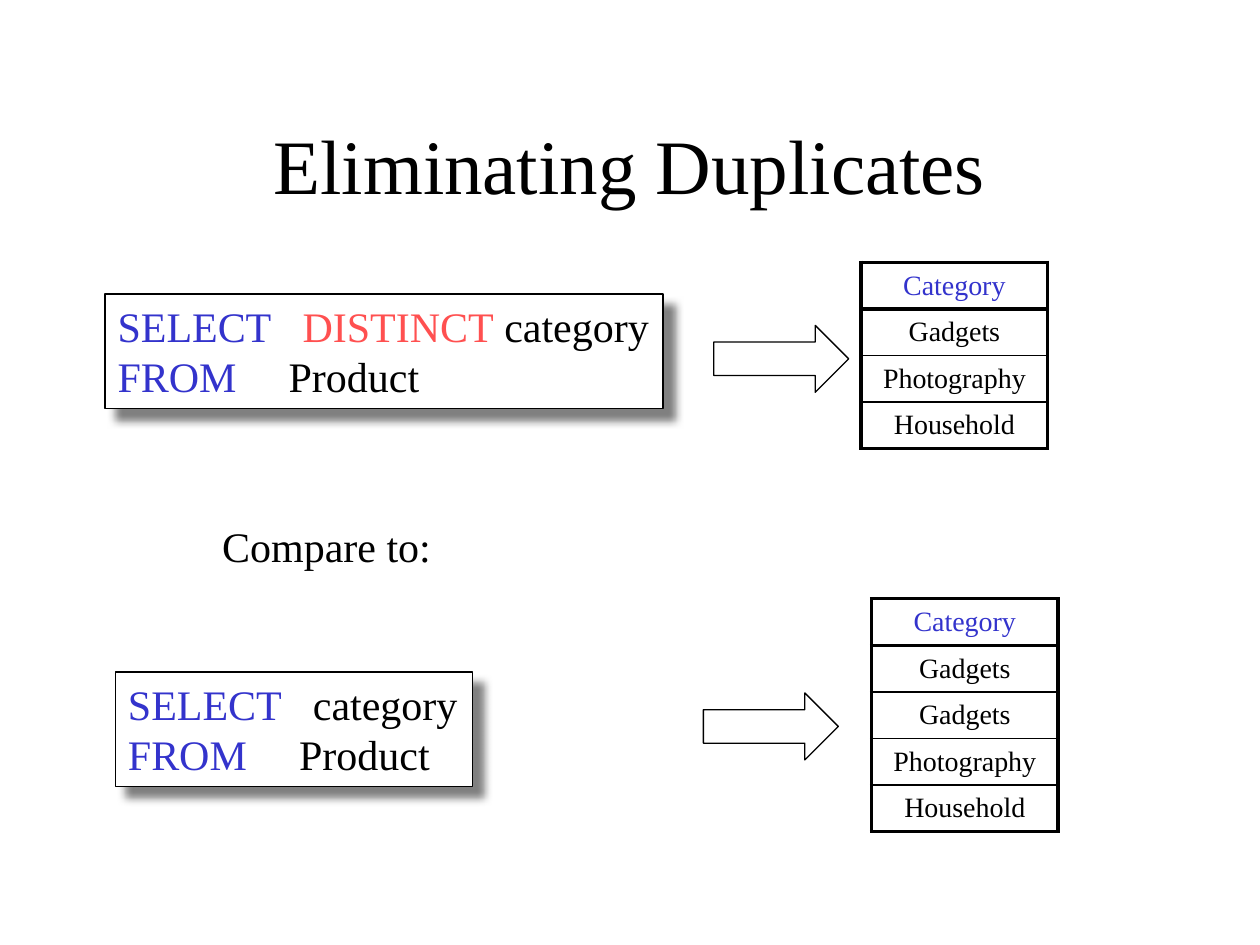
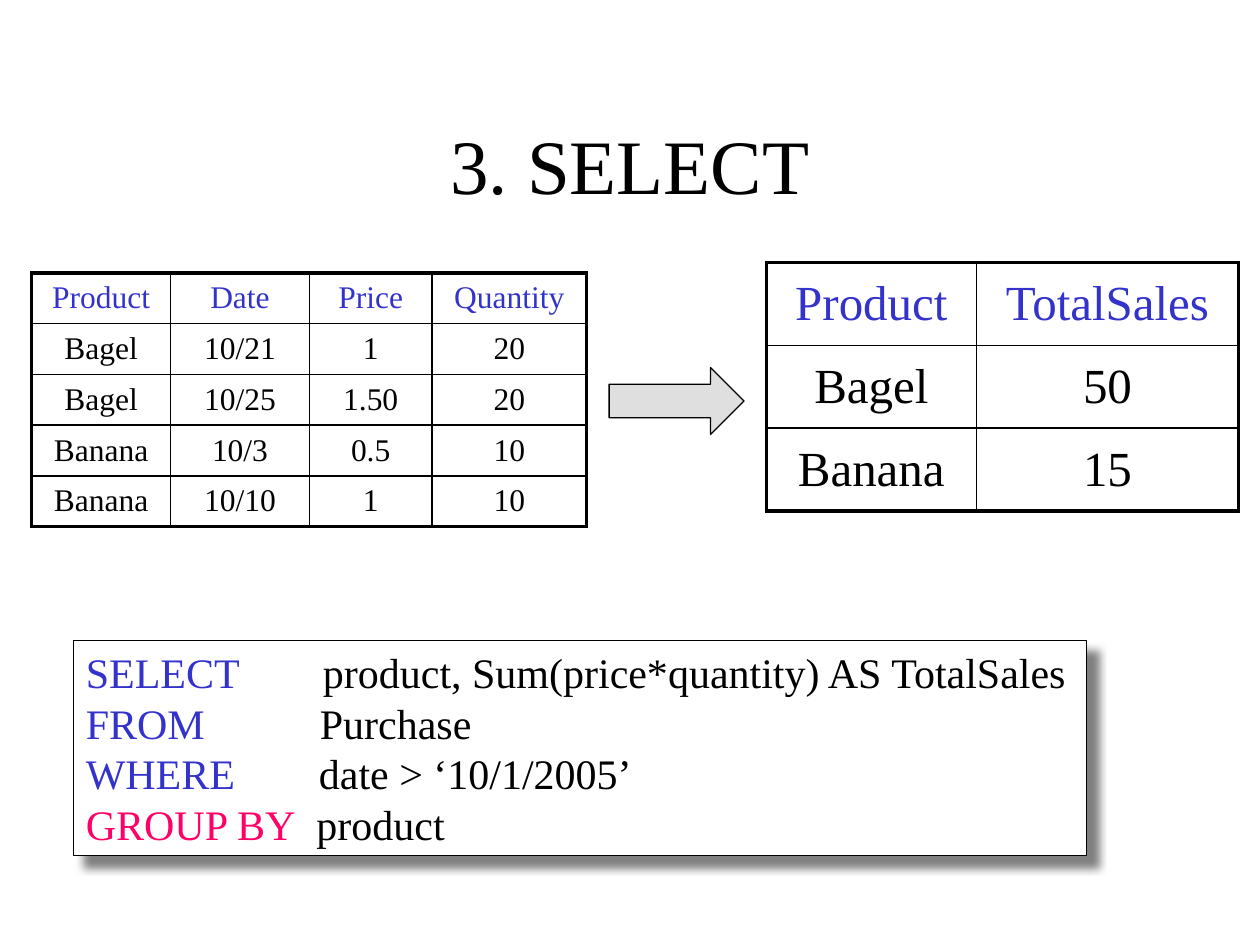
"""Build two SQL lecture slides: removing duplicates and the SELECT step."""
from dataclasses import dataclass
from typing import Any, Optional

from lxml import etree
from pptx import Presentation
from pptx import util as u
from pptx.dml.color import RGBColor
from pptx.enum import shapes, text
from pptx.oxml import ns

BLACK = RGBColor(0x00, 0x00, 0x00)
WHITE = RGBColor(0xFF, 0xFF, 0xFF)
KEYWORD_BLUE = RGBColor(0x33, 0x33, 0xCC)
DISTINCT_RED = RGBColor(0xFF, 0x50, 0x50)
GROUP_PINK = RGBColor(0xFF, 0x00, 0x66)
ARROW_GREY = RGBColor(0xC0, 0xC0, 0xC0)
SHADOW_GREY = RGBColor(0x80, 0x80, 0x80)

FONT = "Times New Roman"
CODE_SIZE = 24
THIN, THICK = u.Pt(1), u.Pt(2.25)
INSETS = {
    "margin_left": u.Cm(0.25), "margin_right": u.Cm(0.25),
    "margin_top": u.Cm(0.13), "margin_bottom": u.Cm(0.13),
}
TITLE_PLACE = {
    "left": u.Cm(1.9), "top": u.Cm(1.7), "width": u.Cm(21.6), "height": u.Cm(3.18),
}
TITLE_FRAME = INSETS | {"vertical_anchor": text.MSO_ANCHOR.MIDDLE, "word_wrap": True}
CODE_FRAME = INSETS | {
    "vertical_anchor": text.MSO_ANCHOR.TOP,
    "word_wrap": True,
    "auto_size": text.MSO_AUTO_SIZE.SHAPE_TO_FIT_TEXT,
}
CELL_FORMAT = INSETS | {"vertical_anchor": text.MSO_ANCHOR.MIDDLE}


@dataclass(frozen=True)
class Clause:
    """One query line; the tab stop, in cm, sets where its body starts."""
    phrases: tuple[tuple[str, RGBColor], ...]
    tab_stop: float = 0


@dataclass(frozen=True)
class Query:
    """A shadowed box of clauses, measured in cm."""
    left: float
    top: float
    width: float
    height: float
    clauses: tuple[Clause, ...]


@dataclass(frozen=True)
class Relation:
    """A database table whose first row is its header, measured in cm."""
    left: float
    top: float
    columns: tuple[float, ...]
    row_height: float
    font_size: int
    rows: tuple[tuple[str, ...], ...]
    header_rule: int = THIN


@dataclass(frozen=True)
class Arrow:
    """A right arrow from a query or relation to its result, in cm."""
    left: float
    top: float
    fill: Optional[RGBColor] = None


def apply(target: Any, values: dict[str, Any]) -> None:
    """Set every named attribute on the target."""
    for name, value in values.items():
        setattr(target, name, value)


def write(paragraph: Any, words: str, size: int, color: RGBColor = BLACK) -> None:
    """Add a run in the shared font."""
    run = paragraph.add_run()
    run.text = words
    apply(run.font, {"name": FONT, "size": u.Pt(size), "bold": False})
    run.font.color.rgb = color


def add_xml(parent: Any, tag: str, **attributes: Any) -> Any:
    """Append a DrawingML element."""
    values = {name: str(value) for name, value in attributes.items()}
    return etree.SubElement(parent, ns.qn(tag), values)


def write_clauses(frame: Any, clauses: tuple[Clause, ...]) -> None:
    """Fill a text frame with one paragraph per clause."""
    apply(frame, CODE_FRAME)
    for index, clause_line in enumerate(clauses):
        paragraph = frame.add_paragraph() if index else frame.paragraphs[0]
        paragraph.alignment = text.PP_ALIGN.LEFT
        if clause_line.tab_stop:
            tabs = add_xml(paragraph._p.get_or_add_pPr(), "a:tabLst")
            add_xml(tabs, "a:tab", pos=u.Cm(clause_line.tab_stop), algn="l")
        for words, color in clause_line.phrases:
            write(paragraph, words, CODE_SIZE, color)


def add_outlined(slide: Any, kind: Any, box: tuple[float, ...], fill: Optional[RGBColor]) -> Any:
    """Add a preset shape with a thin black outline."""
    shape = slide.shapes.add_shape(kind, *map(u.Cm, box))
    shape.shadow.inherit = False
    if fill is None:
        shape.fill.background()
    else:
        shape.fill.solid()
        shape.fill.fore_color.rgb = fill
    shape.line.color.rgb = BLACK
    shape.line.width = u.Pt(0.75)
    return shape


def add_query(slide: Any, query: Query) -> None:
    """Draw a query box with its soft shadow."""
    box = (query.left, query.top, query.width, query.height)
    shape = add_outlined(slide, shapes.MSO_SHAPE.RECTANGLE, box, WHITE)
    effects = shape._element.spPr.find(ns.qn("a:effectLst"))
    shadow = add_xml(effects, "a:outerShdw", blurRad=u.Pt(5), dist=u.Pt(8.5),
                     dir=45 * 60000, algn="ctr", rotWithShape=0)
    add_xml(shadow, "a:srgbClr", val=SHADOW_GREY)
    write_clauses(shape.text_frame, query.clauses)


def add_arrow(slide: Any, arrow: Arrow) -> None:
    """Draw an arrow, with a half-transparent fill if it has one."""
    box = (arrow.left, arrow.top, 2.72, 1.35)
    shape = add_outlined(slide, shapes.MSO_SHAPE.RIGHT_ARROW, box, arrow.fill)
    if arrow.fill is not None:
        color = shape._element.spPr.find(ns.qn("a:solidFill"))[0]
        add_xml(color, "a:alpha", val=50000)


def set_borders(cell: Any, widths: dict[str, int]) -> None:
    """Rule the sides of a cell, ahead of its fill."""
    properties = cell._tc.get_or_add_tcPr()
    for index, (side, width) in enumerate(widths.items()):
        rule = add_xml(properties, f"a:ln{side}", w=width)
        add_xml(add_xml(rule, "a:solidFill"), "a:srgbClr", val=BLACK)
        properties.insert(index, rule)


def add_relation(slide: Any, relation: Relation) -> None:
    """Draw a table with a thick frame and thin inner rules."""
    row_count, column_count = len(relation.rows), len(relation.columns)
    grid = slide.shapes.add_table(
        row_count, column_count, u.Cm(relation.left), u.Cm(relation.top),
        u.Cm(sum(relation.columns)), u.Cm(relation.row_height * row_count)).table
    apply(grid, {"first_row": False, "horz_banding": False})
    for column, width in zip(grid.columns, relation.columns):
        column.width = u.Cm(width)
    row_rules = [THICK, relation.header_rule, *[THIN] * (row_count - 2), THICK]
    column_rules = [THICK, *[THIN] * (column_count - 1), THICK]
    for r, values in enumerate(relation.rows):
        grid.rows[r].height = u.Cm(relation.row_height)
        for c, value in enumerate(values):
            cell = grid.cell(r, c)
            apply(cell, CELL_FORMAT)
            cell.fill.background()
            set_borders(cell, {"L": column_rules[c], "R": column_rules[c + 1],
                               "T": row_rules[r], "B": row_rules[r + 1]})
            paragraph = cell.text_frame.paragraphs[0]
            paragraph.alignment = text.PP_ALIGN.CENTER
            write(paragraph, value, relation.font_size, BLACK if r else KEYWORD_BLUE)


def add_titled_slide(deck: Any, heading: str) -> Any:
    """Add a title-only slide and format its heading."""
    slide = deck.slides.add_slide(deck.slide_layouts[5])
    title = slide.shapes.title
    apply(title, TITLE_PLACE)
    apply(title.text_frame, TITLE_FRAME)
    paragraph = title.text_frame.paragraphs[0]
    paragraph.alignment = text.PP_ALIGN.CENTER
    write(paragraph, heading, 44)
    return slide


def clause(keyword: str, body: str, tab_stop: float, color: RGBColor = KEYWORD_BLUE) -> Clause:
    """Make a clause of a coloured keyword and a black body."""
    return Clause(((keyword, color), (f"\t{body}", BLACK)), tab_stop)


def category_relation(left: float, top: float, *categories: str) -> Relation:
    """Make a one-column relation of categories."""
    rows = tuple((name,) for name in ("Category", *categories))
    return Relation(left, top, (3.76,), 0.93, 16, rows, THICK)


def add_duplicates_slide(deck: Any) -> None:
    """Compare a query with DISTINCT to one without."""
    slide = add_titled_slide(deck, "Eliminating Duplicates")
    from_product = clause("FROM", "Product", 3.45)
    distinct = Clause((("SELECT\t", KEYWORD_BLUE), ("DISTINCT", DISTINCT_RED),
                       (" category", BLACK)), 3.73)
    add_query(slide, Query(2.12, 5.93, 11.25, 2.31, (distinct, from_product)))
    compare = slide.shapes.add_textbox(u.Cm(4.23), u.Cm(10.37), u.Cm(4.72), u.Cm(1.27))
    write_clauses(compare.text_frame, (Clause((("Compare to:", BLACK),)),))
    add_query(slide, Query(2.33, 13.55, 7.2, 2.31,
                           (clause("SELECT", "category", 3.73), from_product)))
    add_relation(slide, category_relation(
        17.57, 12.07, "Gadgets", "Gadgets", "Photography", "Household"))
    add_relation(slide, category_relation(
        17.36, 5.29, "Gadgets", "Photography", "Household"))
    for arrow in (Arrow(14.39, 6.56), Arrow(14.18, 13.97)):
        add_arrow(slide, arrow)


def add_select_slide(deck: Any) -> None:
    """Show purchases, their totals and the grouping query."""
    slide = add_titled_slide(deck, "3. SELECT")
    add_query(slide, Query(1.48, 12.91, 20.43, 4.34, (
        clause("SELECT", "product, Sum(price*quantity) AS TotalSales", 4.78),
        clause("FROM", "Purchase", 4.72),
        clause("WHERE", "date > ‘10/1/2005’", 4.7),
        clause("GROUP BY", "product", 4.65, GROUP_PINK),
    )))
    add_relation(slide, Relation(0.64, 5.5, (2.8, 2.8, 2.47, 3.12), 1.02, 18, (
        ("Product", "Date", "Price", "Quantity"),
        ("Bagel", "10/21", "1", "20"),
        ("Bagel", "10/25", "1.50", "20"),
        ("Banana", "10/3", "0.5", "10"),
        ("Banana", "10/10", "1", "10"),
    )))
    add_relation(slide, Relation(15.45, 5.29, (4.23, 5.29), 1.67, 28, (
        ("Product", "TotalSales"), ("Bagel", "50"), ("Banana", "15"),
    )))
    add_arrow(slide, Arrow(12.28, 7.41, ARROW_GREY))


def main() -> None:
    """Build and save the deck."""
    deck = Presentation()
    apply(deck, {"slide_width": u.Cm(25.4), "slide_height": u.Cm(19.05)})
    add_duplicates_slide(deck)
    add_select_slide(deck)
    deck.save("out.pptx")


if __name__ == "__main__":
    main()
